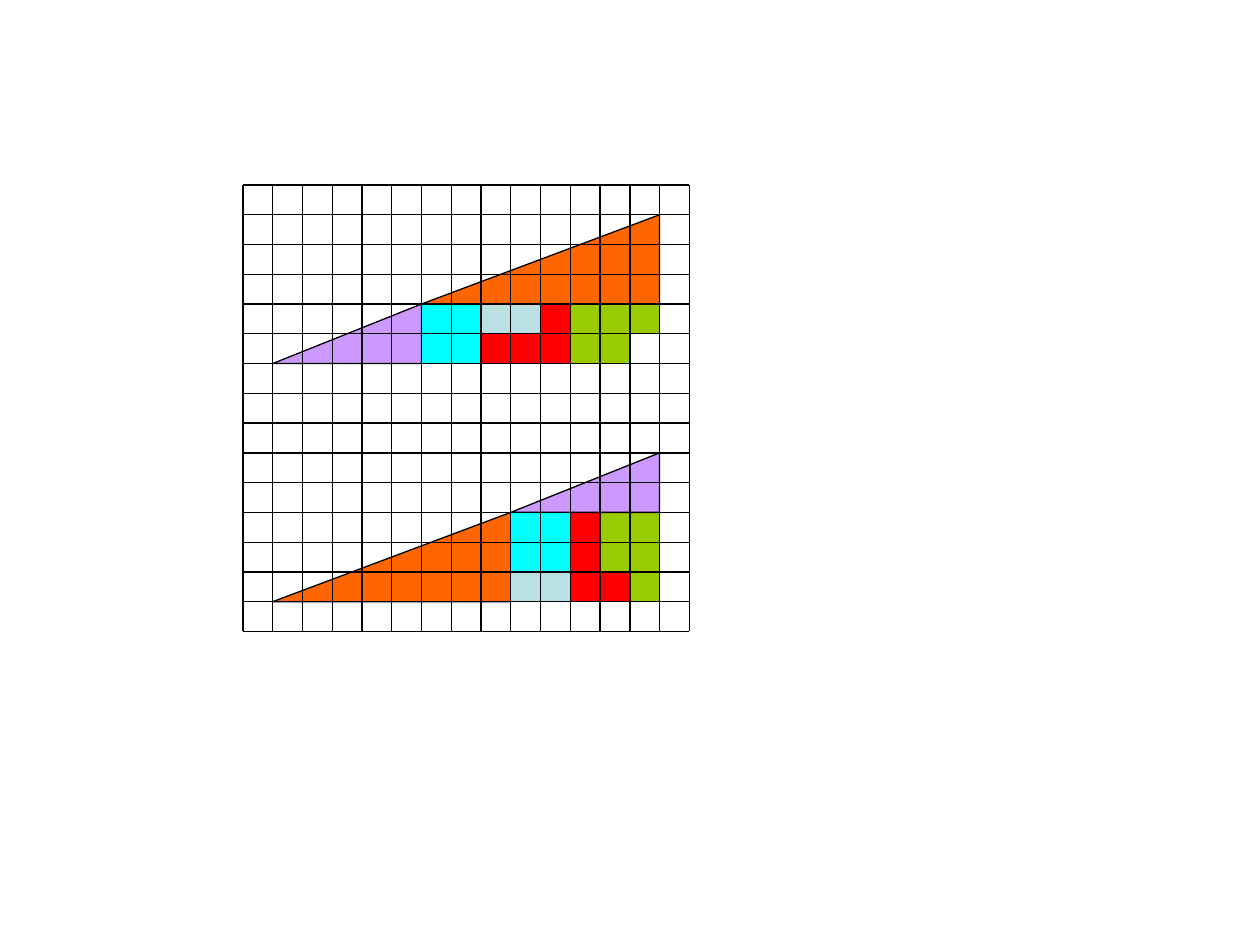
from lxml import etree
from pptx import Presentation
from pptx.dml.color import RGBColor
from pptx.enum.shapes import MSO_CONNECTOR, MSO_SHAPE
from pptx.oxml.ns import qn
from pptx.util import Emu, Pt

RECT = MSO_SHAPE.RECTANGLE
TRIANGLE = MSO_SHAPE.RIGHT_TRIANGLE
STRAIGHT = MSO_CONNECTOR.STRAIGHT

SCALE = 720  # EMU per px
SLIDE_W, SLIDE_H = 12700, 9525
LEFT, TOP, CELL, COUNT = 2449, 1865, 300, 15

BLACK, WHITE = "000000", "FFFFFF"
RED, GREEN, CYAN = "FF0000", "99CC00", "00FFFF"
PALE, PURPLE, ORANGE = "BBE0E3", "CC99FF", "FF6600"

# Pieces from back to front: shape, column, row, width, height, fill, outlined
UPPER_FIGURE = [
    (TRIANGLE, 1, 4, 5, 2, PURPLE, True),
    (TRIANGLE, 6, 1, 8, 3, ORANGE, True),
    (RECT, 6, 4, 2, 2, CYAN, True),
    (RECT, 8, 4, 3, 2, RED, True),
    (RECT, 8, 4, 2, 1, PALE, True),
    (RECT, 11, 4, 3, 2, GREEN, True),
    (RECT, 13, 5, 1, 1, WHITE, True),
]
LOWER_FIGURE = [
    (RECT, 11, 11, 2, 3, RED, True),
    (RECT, 12, 11, 2, 3, GREEN, False),
    (TRIANGLE, 9, 9, 5, 2, PURPLE, True),
    (TRIANGLE, 1, 11, 8, 3, ORANGE, True),
    (RECT, 9, 11, 2, 2, CYAN, True),
    (RECT, 9, 13, 2, 1, PALE, True),
    (RECT, 12, 13, 1, 1, RED, False),
]


def px(n):
    return Emu(n * SCALE)


def color(value):
    return RGBColor.from_string(value)


def grid_x(col):
    return px(LEFT + col * CELL)


def grid_y(row):
    return px(TOP + row * CELL)


def set_line(line):
    line.color.rgb = color(BLACK)
    line.width = Pt(0.75)


def add_piece(slide, kind, col, row, cols, rows, fill, outlined):
    sp = slide.shapes.add_shape(kind, grid_x(col), grid_y(row),
                                px(cols * CELL), px(rows * CELL))
    sp.shadow.inherit = False
    sp.fill.solid()
    sp.fill.fore_color.rgb = color(fill)
    if outlined:
        set_line(sp.line)
    else:
        sp.line.fill.background()
    if kind == TRIANGLE:  # right angle at the lower right
        sp._element.spPr.find(qn("a:xfrm")).set("flipH", "1")


def add_line(slide, col1, row1, col2, row2):
    line = slide.shapes.add_connector(STRAIGHT, grid_x(col1), grid_y(row1),
                                      grid_x(col2), grid_y(row2))
    set_line(line.line)
    etree.SubElement(line._element.spPr, qn("a:effectLst"))


def add_grid(slide):
    for i in range(COUNT + 1):
        add_line(slide, 0, i, COUNT, i)
    for i in range(COUNT + 1):
        add_line(slide, i, 0, i, COUNT)


def main():
    prs = Presentation()
    prs.slide_width, prs.slide_height = px(SLIDE_W), px(SLIDE_H)
    slide = prs.slides.add_slide(prs.slide_layouts[6])

    # The two arrangements of the same pieces
    for piece in UPPER_FIGURE + LOWER_FIGURE:
        add_piece(slide, *piece)

    # Base of the lower green piece, then the grid over everything
    add_line(slide, 12, 14, 14, 14)
    add_grid(slide)

    prs.save("out.pptx")


if __name__ == "__main__":
    main()
